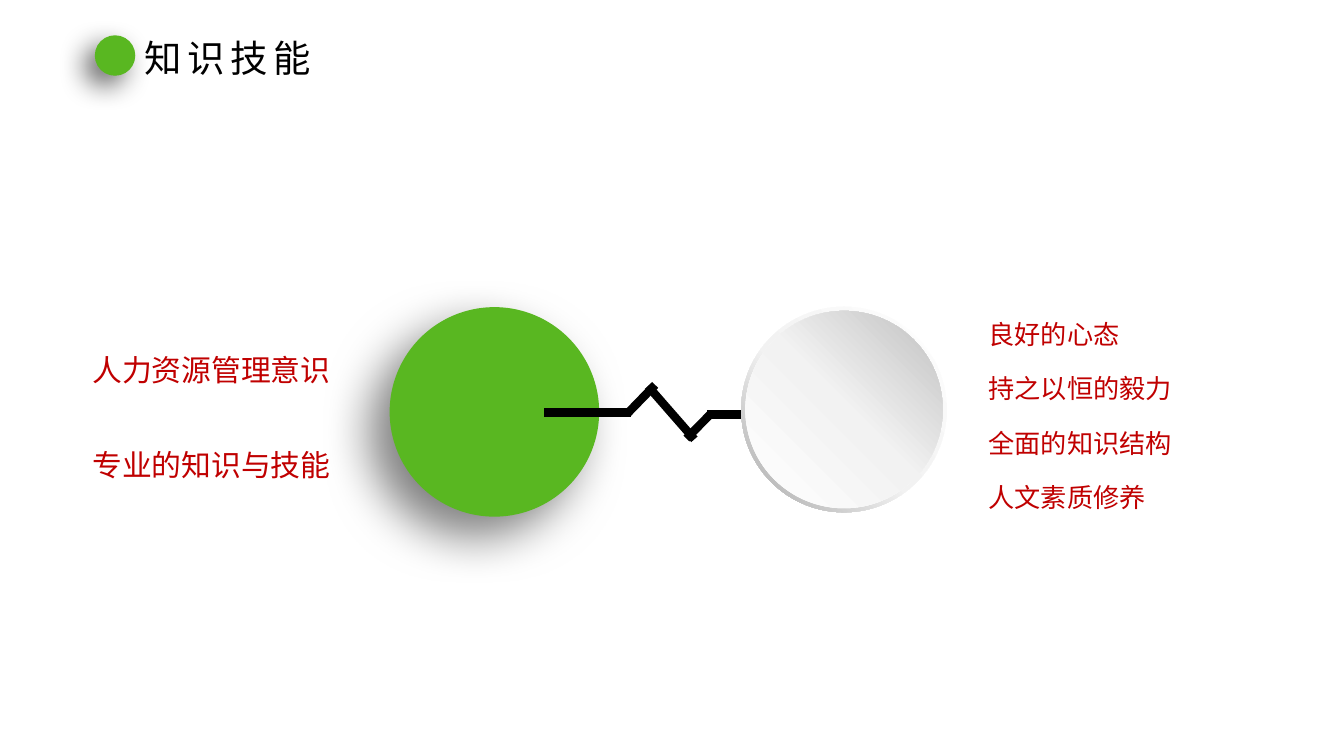
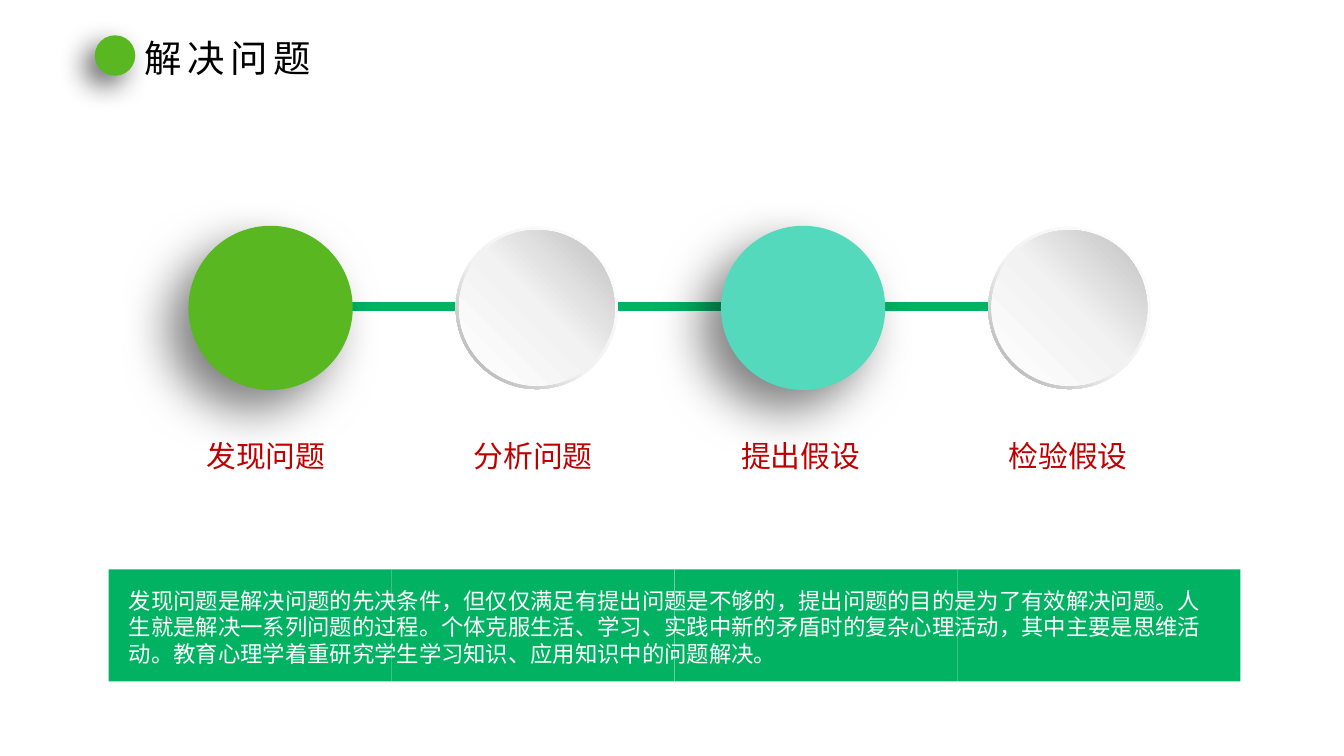
from copy import deepcopy
from lxml.etree import SubElement
from pptx import Presentation
from pptx.dml.color import RGBColor
from pptx.enum.shapes import MSO_CONNECTOR, MSO_SHAPE as Preset
from pptx.enum.text import MSO_ANCHOR as Anchor, MSO_AUTO_SIZE as AutoSize, PP_ALIGN as Align
from pptx.oxml.ns import qn
from pptx.util import Cm, Pt

COLOURS = {"green": "59B721", "band": "01B262", "mint": "54D9BC", "label": "C00000",
           "black": "000000", "white": "FFFFFF", "pale": "F2F2F2",
           "rim": "A6A6A6", "shade": "BFBFBF"}
FONT = "Noto Sans CJK SC"
CM_PER_PT = 2.54 / 72
LINE_HEIGHT = 1.21


def rgb(name):
    """Return the named colour."""
    return RGBColor.from_string(COLOURS[name])


def add_plain_shape(page, preset, left, top, width, height):
    """Add a preset shape without outline or inherited shadow."""
    shape = page.shapes.add_shape(preset, Cm(left), Cm(top), Cm(width), Cm(height))
    shape.shadow.inherit = False
    shape.line.fill.background()
    return shape


def fill_solid(shape, colour):
    """Fill a shape with one colour."""
    shape.fill.solid()
    shape.fill.fore_color.rgb = rgb(colour)


def fill_gradient(shape, stops, angle):
    """Fill a shape with a linear gradient of three stops."""
    shape.fill.gradient()
    shape.fill.gradient_angle = angle
    first = next(shape._element.spPr.iter(qn("a:gs")))
    first.addnext(deepcopy(first))
    for stop, (position, colour) in zip(shape.fill.gradient_stops, stops):
        stop.position = position
        stop.color.rgb = rgb(colour)


def add_shadow(shape, opacity, blur, distance):
    """Cast a soft black shadow to the lower left."""
    effects = shape._element.spPr.find(qn("a:effectLst"))
    shadow = SubElement(effects, qn("a:outerShdw"), blurRad=str(Pt(blur)),
                        dist=str(Pt(distance)), dir=str(135 * 60000),
                        algn="tr", rotWithShape="0")
    colour = SubElement(shadow, qn("a:srgbClr"), val=COLOURS["black"])
    SubElement(colour, qn("a:alpha"), val=str(opacity * 1000))


def add_disc(page, x, y, size, colour, opacity=50, blur=35, distance=20):
    """Add a coloured disc with a shadow, centred on a point."""
    disc = add_plain_shape(page, Preset.OVAL, x - size / 2, y - size / 2, size, size)
    fill_solid(disc, colour)
    add_shadow(disc, opacity, blur, distance)


def add_button(page, x, y, size):
    """Add a raised grey button made of a ring and a face."""
    ring = add_plain_shape(page, Preset.DONUT, x - size / 2, y - size / 2, size, size)
    ring.adjustments[0] = 0.049
    fill_gradient(ring, [(0, "white"), (0.55, "pale"), (1, "rim")], 225)
    inner = size * 0.96
    face = add_plain_shape(page, Preset.OVAL, x - inner / 2, y - inner / 2, inner, inner)
    fill_gradient(face, [(0, "white"), (0.51, "pale"), (1, "shade")], 45)


def add_line(page, start, end, colour):
    """Add a thick straight line between two points."""
    line = page.shapes.add_connector(MSO_CONNECTOR.STRAIGHT, *map(Cm, start + end))
    line.line.color.rgb = rgb(colour)
    line.line.width = Pt(6)
    SubElement(line._element.spPr, qn("a:effectLst"))


def write_text(box, text, left, top, size, colour, spacing=0):
    """Write lines into a box sized to its text."""
    lines = text.split("\n")
    columns = max(map(len, lines))
    box.left, box.top = Cm(left), Cm(top)
    box.width = Cm(columns * (size + spacing) * CM_PER_PT + 0.51)
    box.height = Cm(len(lines) * size * LINE_HEIGHT * CM_PER_PT + 0.25)
    frame = box.text_frame
    frame.text = text
    frame.word_wrap = False
    frame.auto_size = AutoSize.SHAPE_TO_FIT_TEXT
    frame.vertical_anchor = Anchor.TOP
    for para in frame.paragraphs:
        para.alignment = Align.LEFT
        for span in para.runs:
            span.font.name = FONT
            span.font.size = Pt(size)
            span.font.color.rgb = rgb(colour)
            properties = span._r.get_or_add_rPr()
            SubElement(properties, qn("a:ea"), typeface=FONT)
            if spacing:
                properties.set("spc", str(spacing * 100))


def add_label(page, text, left, top, size=21.3, colour="label"):
    """Add a text box."""
    box = page.shapes.add_textbox(0, 0, 0, 0)
    write_text(box, text, left, top, size, colour)


def add_page(deck, title):
    """Add a page with its title and green marker."""
    page = deck.slides.add_slide(deck.slide_layouts[5])
    write_text(page.shapes.title, title, 3.38, 0.76, 26.7, "black", spacing=4)
    add_disc(page, 2.9, 1.4, 1.02, "green", opacity=60, blur=20, distance=10)
    return page


def build_skills(deck):
    """Build the page on knowledge and skills."""
    page = add_page(deck, "知识技能")
    for row, text in enumerate(["人力资源管理意识", "专业的知识与技能"]):
        add_label(page, text, 2.08, 8.74 + row * 2.39)
    qualities = ["良好的心态", "持之以恒的毅力", "全面的知识结构", "人文素质修养"]
    for row, text in enumerate(qualities):
        add_label(page, text, 24.66, 7.9 + row * 1.37, size=18.7)
    add_disc(page, 12.46, 10.38, 5.28, "green")
    pulse = [((13.72, 10.39), (15.9, 10.39)), ((17.83, 10.44), (19.66, 10.44)),
             ((15.82, 10.41), (16.51, 9.7)), ((17.3, 11.05), (17.93, 10.41)),
             ((17.5, 11.07), (16.33, 9.73))]
    for start, end in pulse:
        add_line(page, start, end, "black")
    add_button(page, 21.27, 10.32, 5.18)


def build_problem_solving(deck):
    """Build the page on the four steps of problem solving."""
    page = add_page(deck, "解决问题")
    for column in range(4):
        band = add_plain_shape(page, Preset.RECTANGLE, 2.74 + column * 7.13, 14.35, 7.13, 2.82)
        fill_solid(band, "band")
    summary = ("发现问题是解决问题的先决条件，但仅仅满足有提出问题是不够的，提出问题的目的是为了有效解决问题。人\n"
               "生就是解决一系列问题的过程。个体克服生活、学习、实践中新的矛盾时的复杂心理活动，其中主要是思维活\n"
               "动。教育心理学着重研究学生学习知识、应用知识中的问题解决。")
    add_label(page, summary, 3, 14.66, size=16, colour="white")
    add_line(page, (7.37, 7.72), (26.95, 7.72), "band")
    steps = [("发现问题", "green"), ("分析问题", None), ("提出假设", "mint"), ("检验假设", None)]
    for column, (text, colour) in enumerate(steps):
        x = 6.82 + column * 6.71
        if colour:
            add_disc(page, x, 7.76, 4.14, colour)
        else:
            add_button(page, x, 7.76, 4.09)
        add_label(page, text, 4.95 + column * 6.74, 10.9)


def main():
    """Build and save the deck."""
    deck = Presentation()
    deck.slide_width, deck.slide_height = Cm(33.87), Cm(19.05)
    build_skills(deck)
    build_problem_solving(deck)
    deck.save("out.pptx")


if __name__ == "__main__":
    main()
